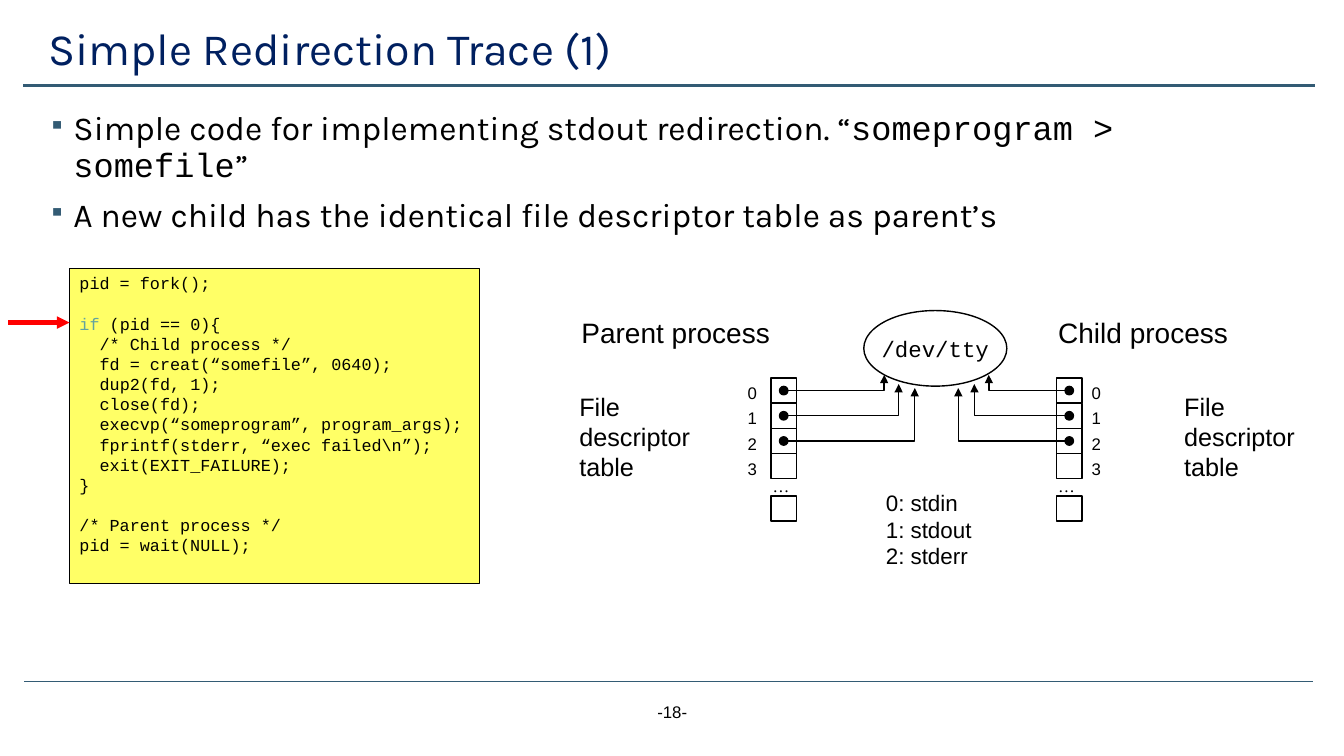
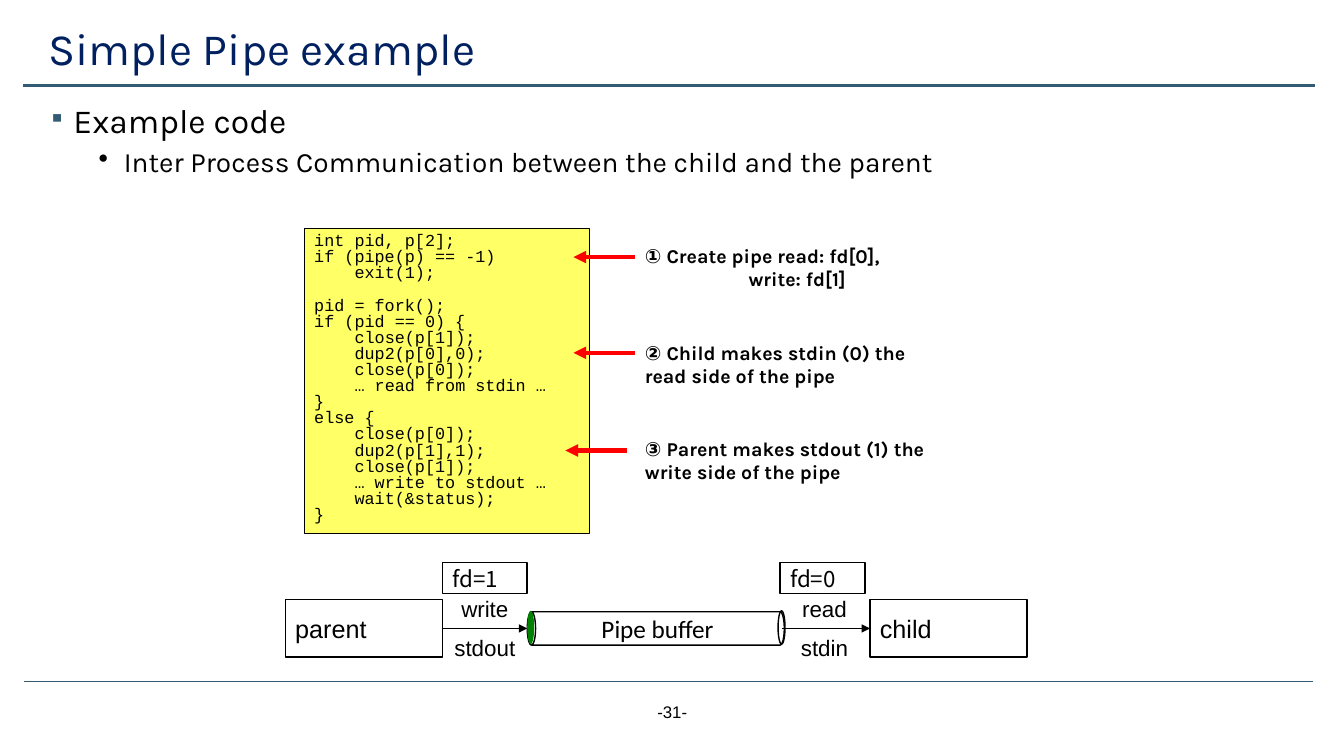
from lxml.etree import SubElement
from pptx import Presentation
from pptx.dml.color import RGBColor
from pptx.enum.shapes import MSO_CONNECTOR, MSO_SHAPE
from pptx.enum.text import MSO_ANCHOR, PP_ALIGN
from pptx.oxml.ns import qn
from pptx.util import Pt

BLACK, NAVY, TEAL, RED = "000000", "002060", "335B74", "FF0000"
YELLOW, GREEN, KEYWORD = "FFFF66", "018101", "62A39F"
SANS, MONO, KARLA = "Arial", "Courier New", "Karla"
CODE_SIZE, CODE_CHAR, CODE_LINE = 12, 7.2, 14.4

REDIRECT_CODE = """pid = fork();

if (pid == 0){
  /* Child process */
  fd = creat(“somefile”, 0640);
  dup2(fd, 1);
  close(fd);
  execvp(“someprogram”, program_args);
  fprintf(stderr, “exec failed\\n”);
  exit(EXIT_FAILURE);
}

/* Parent process */
pid = wait(NULL);"""

PIPE_CODE = """int pid, p[2];
if (pipe(p) == -1)
    exit(1);

pid = fork();
if (pid == 0) {
    close(p[1]);
    dup2(p[0],0);
    close(p[0]);
    … read from stdin …
}
else {
    close(p[0]);
    dup2(p[1],1);
    close(p[1]);
    … write to stdout …
    wait(&status);
}"""


def rgb(value):
    """Turn a hex string into a colour."""
    return RGBColor.from_string(value)


class Deck:
    """Hold the shared style and the current slide."""

    def __init__(self):
        """Start an empty widescreen presentation."""
        self.deck = Presentation()
        self.deck.slide_width, self.deck.slide_height = Pt(960), Pt(540)
        self.shapes = None

    def slide(self, title, number):
        """Add a slide with its title, rules and page number."""
        self.shapes = self.deck.slides.add_slide(self.deck.slide_layouts[6]).shapes
        self.line((17.3, 486.7), (938.2, 486.7), TEAL, 0.5)
        self.line((16.6, 61.2), (939.6, 61.2), TEAL, 1.75)
        self.text(372.2, 497.5, 216, 28.8, [f"-{number}-"], 12, align=PP_ALIGN.CENTER)
        self.text(27.4, 13.7, 895, 45.4, [title], 32, KARLA, NAVY,
                  anchor=MSO_ANCHOR.MIDDLE, spacing=0.9)

    def set_lines(self, frame, lines, size, font=SANS, color=BLACK, bold=False,
                  align=PP_ALIGN.LEFT, spacing=1.0):
        """Fill a frame; a line is text or a pair of text and left margin."""
        for index, line in enumerate(lines):
            words, margin = line if isinstance(line, tuple) else (line, 0)
            paragraph = frame.add_paragraph() if index else frame.paragraphs[0]
            paragraph.alignment, paragraph.line_spacing = align, spacing
            paragraph.font.size, paragraph.font.name = Pt(size), font
            paragraph.font.bold = bold
            paragraph.font.color.rgb = rgb(color)
            if margin:
                paragraph._p.get_or_add_pPr().set("marL", str(Pt(margin)))
            paragraph.add_run().text = words
        return frame.paragraphs

    def text(self, x, y, w, h, lines, size, font=SANS, color=BLACK, wrap=True,
             anchor=MSO_ANCHOR.TOP, **style):
        """Add a text box and return its paragraphs."""
        frame = self.shapes.add_textbox(Pt(x), Pt(y), Pt(w), Pt(h)).text_frame
        frame.word_wrap, frame.vertical_anchor = wrap, anchor
        return self.set_lines(frame, lines, size, font, color, **style)

    def shape(self, kind, x, y, w, h, fill=None, line=BLACK, weight=1):
        """Add a preset shape."""
        shape = self.shapes.add_shape(kind, Pt(x), Pt(y), Pt(w), Pt(h))
        shape.shadow.inherit = False
        for paint, color in ((shape.fill, fill), (shape.line.fill, line)):
            if color:
                paint.solid()
                paint.fore_color.rgb = rgb(color)
            else:
                paint.background()
        if line:
            shape.line.width = Pt(weight)
        return shape

    def label_box(self, x, y, w, h, label, size, font=SANS):
        """Add an outlined box with a label at its left."""
        box = self.shape(MSO_SHAPE.RECTANGLE, x, y, w, h)
        box.text_frame.word_wrap = True
        box.text_frame.vertical_anchor = MSO_ANCHOR.MIDDLE
        self.set_lines(box.text_frame, [label], size, font)
        return box

    def line(self, start, end, color=BLACK, weight=1.0, arrow=False,
             kind=MSO_CONNECTOR.STRAIGHT):
        """Add a connector, with an arrowhead if asked."""
        line = self.shapes.add_connector(kind, *map(Pt, start + end))
        line.line.color.rgb, line.line.width = rgb(color), Pt(weight)
        properties = line._element.spPr
        if arrow:
            SubElement(properties.find(qn("a:ln")), qn("a:tailEnd"), type="triangle")
        SubElement(properties, qn("a:effectLst"))
        return line

    def elbow(self, start, end):
        """Add an arrow that runs level and turns at its very end."""
        line = self.line(start, end, arrow=True, kind=MSO_CONNECTOR.ELBOW)
        guides = line._element.spPr.find(qn("a:prstGeom")).get_or_add_avLst()
        SubElement(guides, qn("a:gd"), name="adj1", fmla="val 99900")

    def bullet(self, paragraph, mark, margin, before, color=BLACK, percent=100):
        """Give a paragraph a hanging bullet."""
        paragraph.space_before = Pt(before)
        properties = paragraph._p.get_or_add_pPr()
        properties.set("marL", str(Pt(margin)))
        properties.set("indent", str(Pt(-18)))
        SubElement(SubElement(properties, qn("a:buClr")), qn("a:srgbClr"), val=color)
        SubElement(properties, qn("a:buSzPct"), val=str(percent * 1000))
        SubElement(properties, qn("a:buChar"), char=mark)
        properties.append(properties.find(qn("a:defRPr")))

    def bullets(self, y, items):
        """Add the body text from pairs of level and text."""
        paragraphs = self.text(27.4, y, 905, 404.6, [words for _, words in items], 24,
                               KARLA, spacing=0.9)
        for paragraph, (level, _) in zip(paragraphs, items):
            if level:
                paragraph.font.size = Pt(20)
                self.bullet(paragraph, "•", 54, 5)
            else:
                self.bullet(paragraph, "▪", 18, 10, TEAL, 70)
        return paragraphs

    def code(self, x, y, w, h, source, spacing=1.0, keyword=None):
        """Add a yellow code listing, indented and spaced as written."""
        frame = self.shape(MSO_SHAPE.RECTANGLE, x, y, w, h, YELLOW, weight=0.75).text_frame
        frame.word_wrap, frame.vertical_anchor = True, MSO_ANCHOR.TOP
        rows = source.split("\n")
        follows_gap = [i > 0 and not rows[i - 1] for i, row in enumerate(rows) if row]
        lines = [(row.lstrip(), (len(row) - len(row.lstrip())) * CODE_CHAR)
                 for row in rows if row]
        paragraphs = self.set_lines(frame, lines, CODE_SIZE, MONO, spacing=spacing)
        for paragraph, gap in zip(paragraphs, follows_gap):
            if gap:
                paragraph.space_before = Pt(CODE_LINE * spacing)
            first = paragraph.runs[0]
            if keyword and first.text.startswith(keyword):
                paragraph.add_run().text = first.text[len(keyword):]
                first.text = keyword
                first.font.color.rgb = rgb(KEYWORD)

    def descriptor_table(self, x, number_x, caption_x, side):
        """Add a file descriptor table with arrows to the terminal."""
        cell, top = 18, 270
        for row in range(4):
            y = top + row * cell
            self.shape(MSO_SHAPE.RECTANGLE, x, y, cell, cell)
            self.text(number_x, y, 24.5, 21.6, [str(row)], 12)
        self.shape(MSO_SHAPE.RECTANGLE, x, 354.2, cell, cell)
        self.text(x - 6, 336.2, 26.6, 21.6, ["…"], 12, "Times New Roman", wrap=False)
        self.text(caption_x, 275.8, 93.6, 72, ["File", "descriptor", "table"], 18, wrap=False)
        for row, (reach, tip) in enumerate(((37.3, 267.8), (27, 274.3), (15.5, 277.2))):
            y = top + row * cell
            self.shape(MSO_SHAPE.OVAL, x + 6, y + 6, 6, 6, BLACK)
            self.elbow((x + 9, y + 9), (669 + side * reach, tip))


def redirection(deck):
    """Build the redirection slide."""
    deck.slide("Simple Redirection Trace (1)", 18)
    first = deck.bullets(76.3, [
        (0, "Simple code for implementing stdout redirection. “"),
        (0, "A new child has the identical file descriptor table as parent’s")])[0]
    command, quote = first.add_run(), first.add_run()
    command.text, quote.text = "someprogram > somefile", "”"
    command.font.name = MONO

    deck.text(408.2, 221.8, 150.5, 31.5, ["Parent process"], 20, wrap=False)
    deck.text(748.8, 221.8, 136.8, 31.5, ["Child process"], 20, wrap=False)
    deck.descriptor_table(550.8, 527, 406.8, -1)
    deck.descriptor_table(754.8, 772.6, 838.8, 1)

    terminal = deck.shape(MSO_SHAPE.OVAL, 617, 221.8, 102.2, 54).text_frame
    terminal.word_wrap, terminal.vertical_anchor = False, MSO_ANCHOR.MIDDLE
    deck.set_lines(terminal, ["/dev/tty"], 16, MONO, align=PP_ALIGN.CENTER)

    deck.code(49.7, 191.5, 293, 225.4, REDIRECT_CODE, keyword="if")
    deck.line((5.8, 230.4), (49.7, 230.4), RED, 3, arrow=True)
    deck.text(625.7, 345.6, 76.3, 65.5, ["0: stdin", "1: stdout", "2: stderr"], 16, wrap=False)


def pipe(deck):
    """Build the pipe slide."""
    deck.slide("Simple Pipe example", 31)
    deck.bullets(71.3, [
        (0, "Example code"),
        (1, "Inter Process Communication between the child and the parent")])
    deck.code(217.4, 163.4, 203.8, 217.4, PIPE_CODE, spacing=0.8)

    steps = (
        (170.6, 183.6, 453.6, ["① Create pipe read: fd[0],", ("write: fd[1]", 74)]),
        (239.8, 252, 453.6, ["② Child makes stdin (0) the read side of the pipe"]),
        (308.2, 321.8, 447.8, ["③ Parent makes stdout (1) the write side of the pipe"]))
    for top, arrow_y, arrow_x, lines in steps:
        deck.text(453.6, top, 230, 41, lines, 14, KARLA, bold=True)
        deck.line((arrow_x, arrow_y), (arrow_x - 43.9, arrow_y), RED, 3, arrow=True)

    parent = deck.label_box(203.8, 428.4, 112.3, 41, "parent", 18)
    child = deck.label_box(621.4, 428.4, 112.3, 41, "child", 18)
    buffer = deck.shape(MSO_SHAPE.CAN, 456.5, 357.1, 23.8, 183.6)
    buffer.rotation = 270
    deck.shape(MSO_SHAPE.OVAL, 376.6, 436.3, 5, 23.8, GREEN, line=None)
    deck.shape(MSO_SHAPE.OVAL, 555.8, 436.3, 5, 23.8)
    deck.line((316.1, 448.9), (376.6, 448.9), arrow=True).begin_connect(parent, 3)
    deck.line((558.7, 448.9), (621.4, 448.9), arrow=True).end_connect(child, 1)

    for x, box_x, action, stream, descriptor in (
            (316.1, 316.1, "write", "stdout", "fd=1"),
            (558.7, 557.3, "read", "stdin", "fd=0")):
        for y, word in ((421.9, action), (449.3, stream)):
            deck.text(x, y, 60.5, 26.6, [word], 16, align=PP_ALIGN.CENTER)
        deck.label_box(box_x, 401.8, 60.5, 22.3, descriptor, 16, "Noto Sans CJK KR")
    deck.text(422.6, 434.9, 95.8, 28.8, ["Pipe buffer"], 18, "Calibri", wrap=False)


def main():
    """Build and save both slides."""
    deck = Deck()
    redirection(deck)
    pipe(deck)
    deck.deck.save("out.pptx")


if __name__ == "__main__":
    main()
